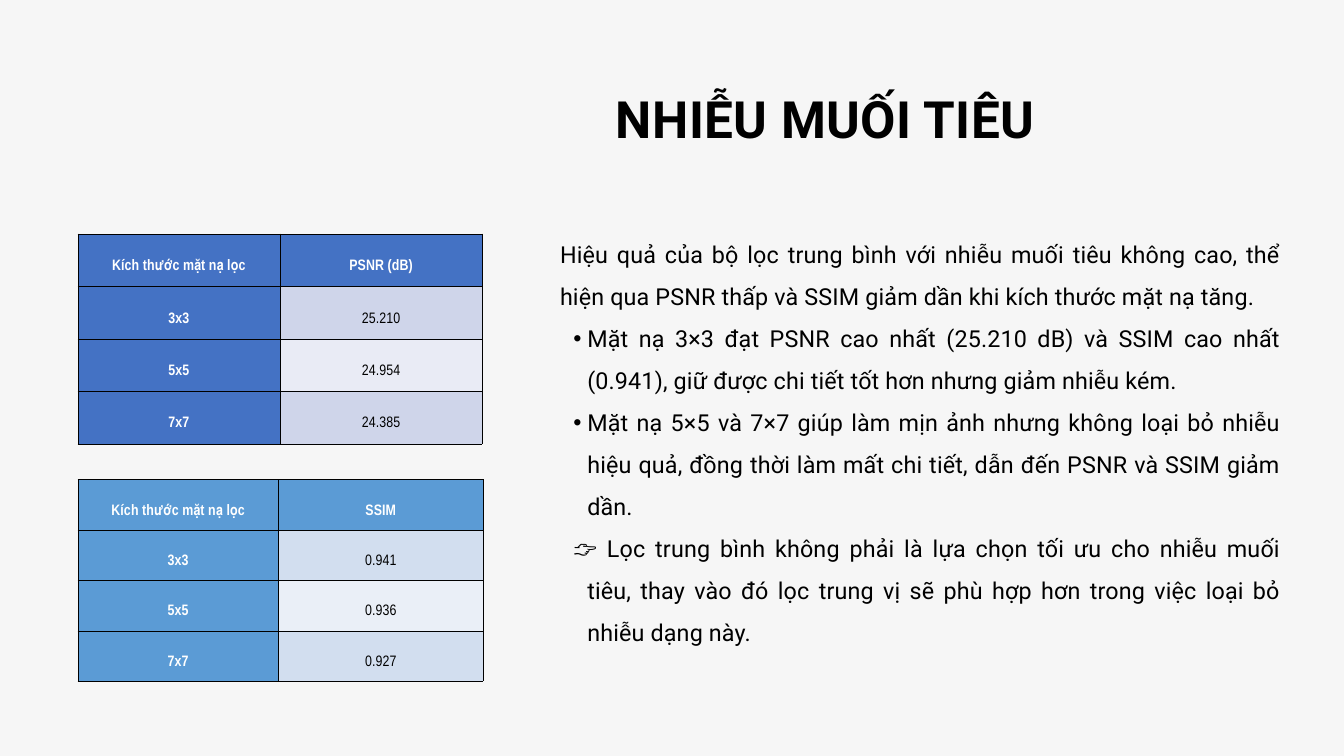
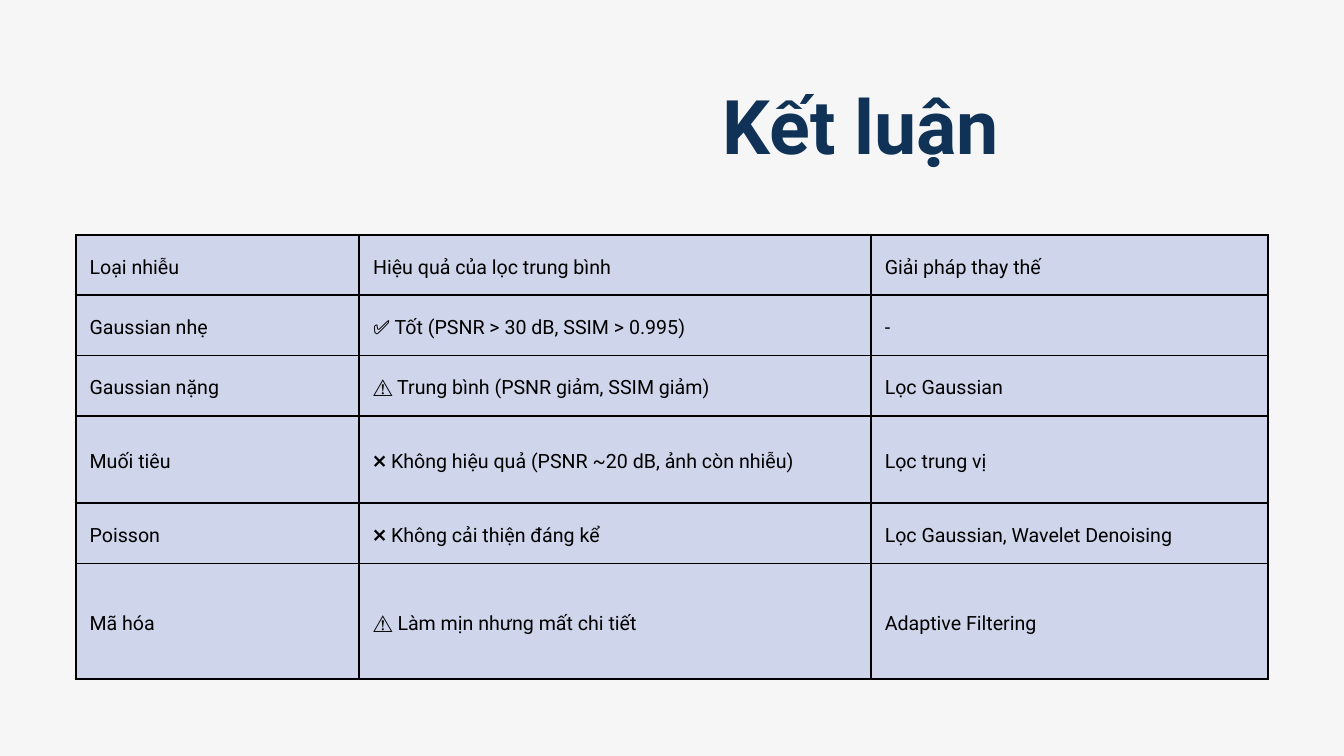
import pptx
import pptx.dml.color
import pptx.enum.text
import pptx.oxml
import pptx.oxml.ns
import pptx.util

PX = 9525
BODY_FONT = "Roboto"
BLACK, WHITE, NAVY = "000000", "FFFFFF", "0F3256"
BACKGROUND = "F6F6F6"
LAVENDER = "CFD5EA"
ALIGN = pptx.enum.text.PP_ALIGN
ANCHOR = pptx.enum.text.MSO_ANCHOR

MASK_HEADER = "Kích thước mặt nạ lọc"
PSNR_ROWS = [(MASK_HEADER, "PSNR (dB)"), ("3x3", "25.210"), ("5x5", "24.954"), ("7x7", "24.385")]
SSIM_ROWS = [(MASK_HEADER, "SSIM"), ("3x3", "0.941"), ("5x5", "0.936"), ("7x7", "0.927")]

INTRO = ("Hiệu quả của bộ lọc trung bình với nhiễu muối tiêu không cao, thể hiện qua "
         "PSNR thấp và SSIM giảm dần khi kích thước mặt nạ tăng.")
FINDINGS = [
    "Mặt nạ 3×3 đạt PSNR cao nhất (25.210 dB) và SSIM cao nhất (0.941), "
    "giữ được chi tiết tốt hơn nhưng giảm nhiễu kém.",
    "Mặt nạ 5×5 và 7×7 giúp làm mịn ảnh nhưng không loại bỏ nhiễu hiệu quả, "
    "đồng thời làm mất chi tiết, dẫn đến PSNR và SSIM giảm dần.",
]
ADVICE = ("👉 Lọc trung bình không phải là lựa chọn tối ưu cho nhiễu muối tiêu, thay vào đó "
          "lọc trung vị sẽ phù hợp hơn trong việc loại bỏ nhiễu dạng này.")

CONCLUSION_ROWS = [
    ("Loại nhiễu", "Hiệu quả của lọc trung bình", "Giải pháp thay thế"),
    ("Gaussian nhẹ", "✅ Tốt (PSNR > 30 dB, SSIM > 0.995)", "-"),
    ("Gaussian nặng", "⚠️ Trung bình (PSNR giảm, SSIM giảm)", "Lọc Gaussian"),
    ("Muối tiêu", "❌ Không hiệu quả (PSNR ~20 dB, ảnh còn nhiễu)", "Lọc trung vị"),
    ("Poisson", "❌ Không cải thiện đáng kể", "Lọc Gaussian, Wavelet Denoising"),
    ("Mã hóa", "⚠️ Làm mịn nhưng mất chi tiết", "Adaptive Filtering"),
]


def px(length):
    """Turn px into EMU."""
    return pptx.util.Emu(length * PX)


def rgb(hex_colour):
    """Turn a hex string into a colour."""
    return pptx.dml.color.RGBColor.from_string(hex_colour)


def fill_solid(fill, hex_colour):
    """Give a fill one plain colour."""
    fill.solid()
    fill.fore_color.rgb = rgb(hex_colour)


def style_paragraph(paragraph, size, leading, align, colour=BLACK, bold=False,
                    font=BODY_FONT, tracking=0):
    """Set spacing, alignment and font of a whole paragraph."""
    paragraph.alignment = align
    paragraph.line_spacing = pptx.util.Pt(leading)
    paragraph.space_before = paragraph.space_after = pptx.util.Pt(0)
    paragraph.font.name = font
    paragraph.font.size = pptx.util.Pt(size)
    paragraph.font.bold = bold
    paragraph.font.color.rgb = rgb(colour)
    if tracking:
        paragraph._p.get_or_add_pPr().get_or_add_defRPr().set("spc", str(tracking))


def set_bullet(paragraph, bullet, margin=0, hanging=0):
    """Set the indent of a paragraph and its bullet, if it has one."""
    properties = paragraph._p.get_or_add_pPr()
    properties.set("marL", str(px(margin)))
    properties.set("indent", str(-px(hanging)))
    mark = pptx.oxml.ns.qn("a:buChar" if bullet else "a:buNone")
    element = properties.makeelement(mark, {"char": bullet} if bullet else {})
    properties.append(element)


def place(placeholder, box, anchor):
    """Move a placeholder and clear its insets; return its text frame."""
    placeholder.left, placeholder.top, placeholder.width, placeholder.height = map(px, box)
    frame = placeholder.text_frame
    frame.margin_left = frame.margin_top = frame.margin_right = frame.margin_bottom = 0
    frame.vertical_anchor = anchor
    frame.auto_size = pptx.enum.text.MSO_AUTO_SIZE.NONE
    frame.word_wrap = True
    return frame


def add_title(slide, text, box, size, leading, anchor, colour=BLACK, tracking=0):
    """Fill the title placeholder with a bold centred heading."""
    frame = place(slide.shapes.title, box, anchor)
    frame.text = text
    style_paragraph(frame.paragraphs[0], size, leading, ALIGN.CENTER, colour, True,
                    tracking=tracking)


def add_discussion(slide, box):
    """Fill the body placeholder with intro, findings and advice."""
    frame = place(slide.placeholders[1], box, ANCHOR.TOP)
    frame.text = "\n".join([INTRO, *FINDINGS, ADVICE])
    intro, *points = frame.paragraphs
    set_bullet(intro, None)
    for point in points:
        point.level = 1
        set_bullet(point, "•" if point.text in FINDINGS else None, 39, 20)
    for paragraph in frame.paragraphs:
        style_paragraph(paragraph, 25, 45, ALIGN.JUSTIFY, tracking=20)


def set_borders(cell, width):
    """Draw black lines on all four sides of a cell."""
    properties = cell._tc.get_or_add_tcPr()
    for index, side in enumerate("LRTB"):
        properties.insert(index, pptx.oxml.parse_xml(
            f'<a:ln{side} {pptx.oxml.ns.nsdecls("a")} w="{pptx.util.Pt(width)}">'
            f'<a:solidFill><a:srgbClr val="{BLACK}"/></a:solidFill></a:ln{side}>'))


def add_grid(slide, rows, corner, widths, heights, inset, border, style_cell):
    """Add a bordered table; style_cell gives each cell's fill and text style."""
    left, top = corner
    table = slide.shapes.add_table(len(rows), len(widths), px(left), px(top),
                                   px(sum(widths)), px(sum(heights))).table
    table.first_row = table.horz_banding = False
    for column, width in zip(table.columns, widths):
        column.width = px(width)
    for r, (texts, height) in enumerate(zip(rows, heights)):
        table.rows[r].height = px(height)
        for c, text in enumerate(texts):
            cell = table.cell(r, c)
            cell.text = text
            cell.vertical_anchor = ANCHOR.MIDDLE
            cell.margin_left = cell.margin_right = px(inset)
            cell.margin_top = cell.margin_bottom = px(inset)
            fill, text_style = style_cell(r, c)
            fill_solid(cell.fill, fill)
            set_borders(cell, border)
            style_paragraph(cell.text_frame.paragraphs[0], **text_style)


def add_metric_table(slide, rows, top, widths, row_height, inset, accent, bands):
    """Add a table of one quality metric by mask size."""
    def style_cell(r, c):
        """Head the first row and column; band the values."""
        heading = r == 0 or c == 0
        text_style = dict(size=16.2, leading=29.2, align=ALIGN.CENTER, font="Arial Narrow",
                          colour=WHITE if heading else BLACK, bold=heading, tracking=10)
        return accent if heading else bands[(r - 1) % 2], text_style

    add_grid(slide, rows, (111, top), widths, [row_height] * len(rows), inset, 0.37, style_cell)


def add_conclusion_table(slide):
    """Add the table of noise types, results and alternatives."""
    text_style = dict(size=21, leading=29.4, align=ALIGN.JUSTIFY)
    add_grid(slide, CONCLUSION_ROWS, (108, 336), [405, 731, 568], [86, 86, 86, 125, 86, 165],
             20, 2.25, lambda r, c: (LAVENDER, text_style))


def main():
    """Build both slides and save them."""
    deck = pptx.Presentation()
    deck.slide_width, deck.slide_height = px(1920), px(1080)
    fill_solid(deck.slide_master.background.fill, BACKGROUND)

    noise = deck.slides.add_slide(deck.slide_layouts[1])
    add_title(noise, "NHIỄU MUỐI TIÊU", (582, 71, 1194, 204), 55, 59.4, ANCHOR.MIDDLE,
              tracking=50)
    add_discussion(noise, (800, 323, 1030, 649))
    add_metric_table(noise, PSNR_ROWS, 334, [289, 289], 75, 4, "4472C4", (LAVENDER, "E9EBF5"))
    add_metric_table(noise, SSIM_ROWS, 685, [287, 292], 72, 7, "5B9BD5", ("D2DEEF", "EAEFF7"))

    conclusion = deck.slides.add_slide(deck.slide_layouts[5])
    add_title(conclusion, "Kết luận", (1030, 91, 400, 145), 80.7, 113, ANCHOR.TOP, NAVY)
    add_conclusion_table(conclusion)

    deck.save("out.pptx")


if __name__ == "__main__":
    main()
